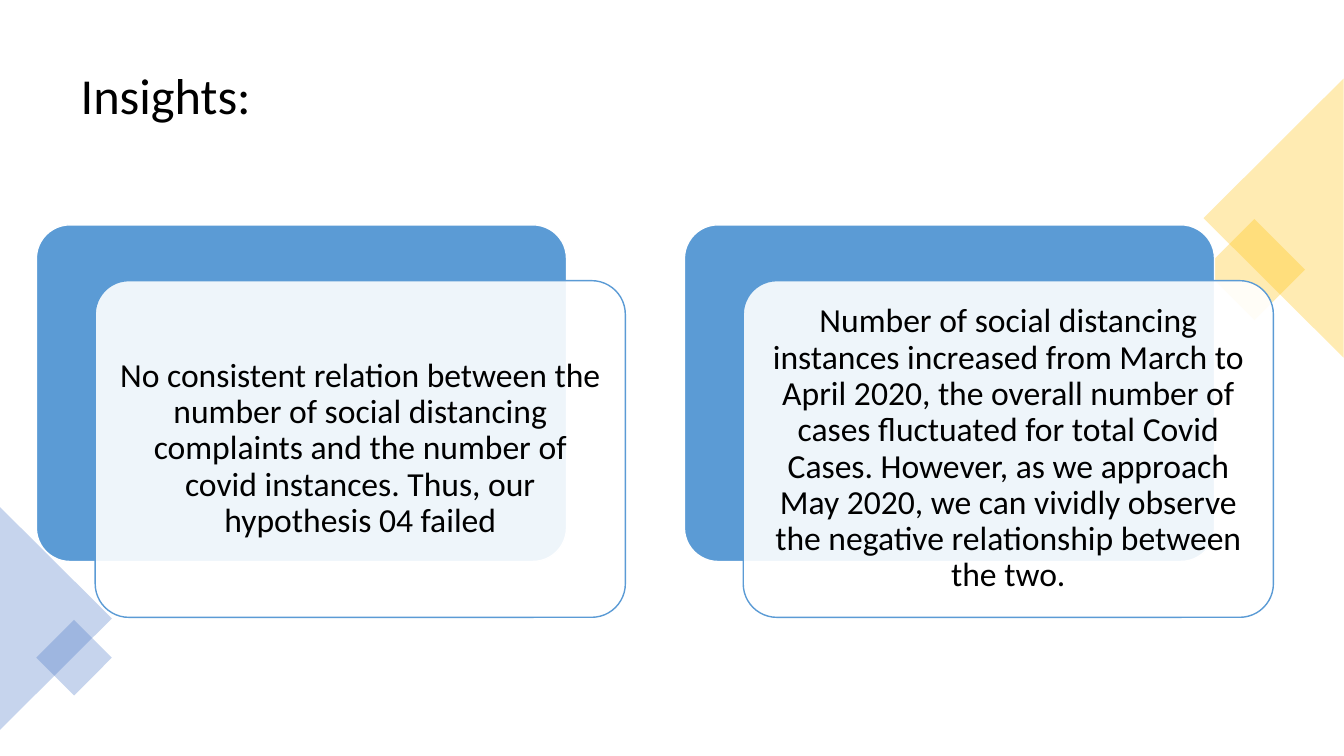
from lxml import etree
from pptx import Presentation
from pptx import util as u
from pptx.dml.color import RGBColor
from pptx.enum import shapes, text
from pptx.oxml import ns

HUES = {"ink": "000000", "card": "5B9BD5", "white": "FFFFFF",
        "gold": "FFC000", "blue": "4472C4"}
KIND = shapes.MSO_SHAPE


class Deck:
    """Holds the style and the current slide."""
    font = "Calibri"

    def __init__(self):
        self.prs = Presentation()
        self.prs.slide_width = u.Pt(960)
        self.prs.slide_height = u.Pt(540)
        self.slide = self.prs.slides.add_slide(self.prs.slide_layouts[5])

    def paint(self, fill, hue, alpha=100):
        fill.solid()
        fill.fore_color.rgb = RGBColor.from_string(HUES[hue])
        if alpha < 100:
            clr = fill._xPr.find(".//" + ns.qn("a:srgbClr"))
            etree.SubElement(clr, ns.qn("a:alpha"), val=str(alpha * 1000))

    def words(self, frame, copy, size, align):
        frame.word_wrap = True
        frame.vertical_anchor = text.MSO_ANCHOR.MIDDLE
        frame.text = copy
        par = frame.paragraphs[0]
        par.alignment = align
        par.line_spacing = 0.9
        par.font.name = self.font
        par.font.size = u.Pt(size)
        par.font.color.rgb = RGBColor.from_string(HUES["ink"])

    def title(self, copy, box):
        head = self.slide.shapes.title
        head.left, head.top, head.width, head.height = map(u.Pt, box)
        self.words(head.text_frame, copy, 36, text.PP_ALIGN.LEFT)

    def shape(self, kind, box, hue, alpha=100, line=None, turn=0):
        item = self.slide.shapes.add_shape(kind, *map(u.Pt, box))
        item.shadow.inherit = False
        item.rotation = turn
        self.paint(item.fill, hue, alpha)
        if line:
            self.paint(item.line.fill, line)
            item.line.width = u.Pt(1)
        else:
            item.line.fill.background()
        return item

    def label(self, copy, box):
        frame = self.slide.shapes.add_textbox(*map(u.Pt, box)).text_frame
        frame.margin_left = frame.margin_right = u.Pt(7.2)
        frame.margin_top = frame.margin_bottom = u.Pt(7.2)
        self.words(frame, copy, 24, text.PP_ALIGN.CENTER)

    def card(self, copy, left):
        top, wide, high, pad = 160.6, 378.7, 240.5, 7.2
        back = self.shape(KIND.ROUNDED_RECTANGLE, (left, top, wide, high),
                          "card", line="white")
        left, top = left + 42, top + 39.9
        front = self.shape(KIND.ROUNDED_RECTANGLE, (left, top, wide, high),
                           "white", 90, "card")
        for item in (back, front):
            item.adjustments[0] = 0.1
        self.label(copy, (left + pad, top + pad,
                          wide - 2 * pad, high - 2 * pad))


def main():
    deck = Deck()
    deck.title("Insights:", (50.4, 25.2, 859, 89.3))

    # Corner decoration
    for kind, box, hue, turn in (
            (KIND.RECTANGLE, (870.5, 167, 51.1, 51.1), "gold", 45),
            (KIND.ISOSCELES_TRIANGLE, (810, 105.8, 199.4, 100), "gold", 270),
            (KIND.ISOSCELES_TRIANGLE, (-39.6, 401.8, 159.1, 79.9), "blue", 90),
            (KIND.RECTANGLE, (33.8, 450.7, 38.2, 38.2), "blue", 45)):
        deck.shape(kind, box, hue, 30, turn=turn)

    # Insight cards
    notes = (
        "No consistent relation between the number of social distancing "
        "complaints and the number of covid instances. Thus, our "
        "hypothesis 04 failed",
        "Number of social distancing instances increased from March to "
        "April 2020, the overall number of cases fluctuated for total Covid "
        "Cases. However, as we approach May 2020, we can vividly observe "
        "the negative relationship between the two.")
    for i, note in enumerate(notes):
        deck.card(note, 26 + 462.9 * i)

    deck.prs.save("out.pptx")


if __name__ == "__main__":
    main()
